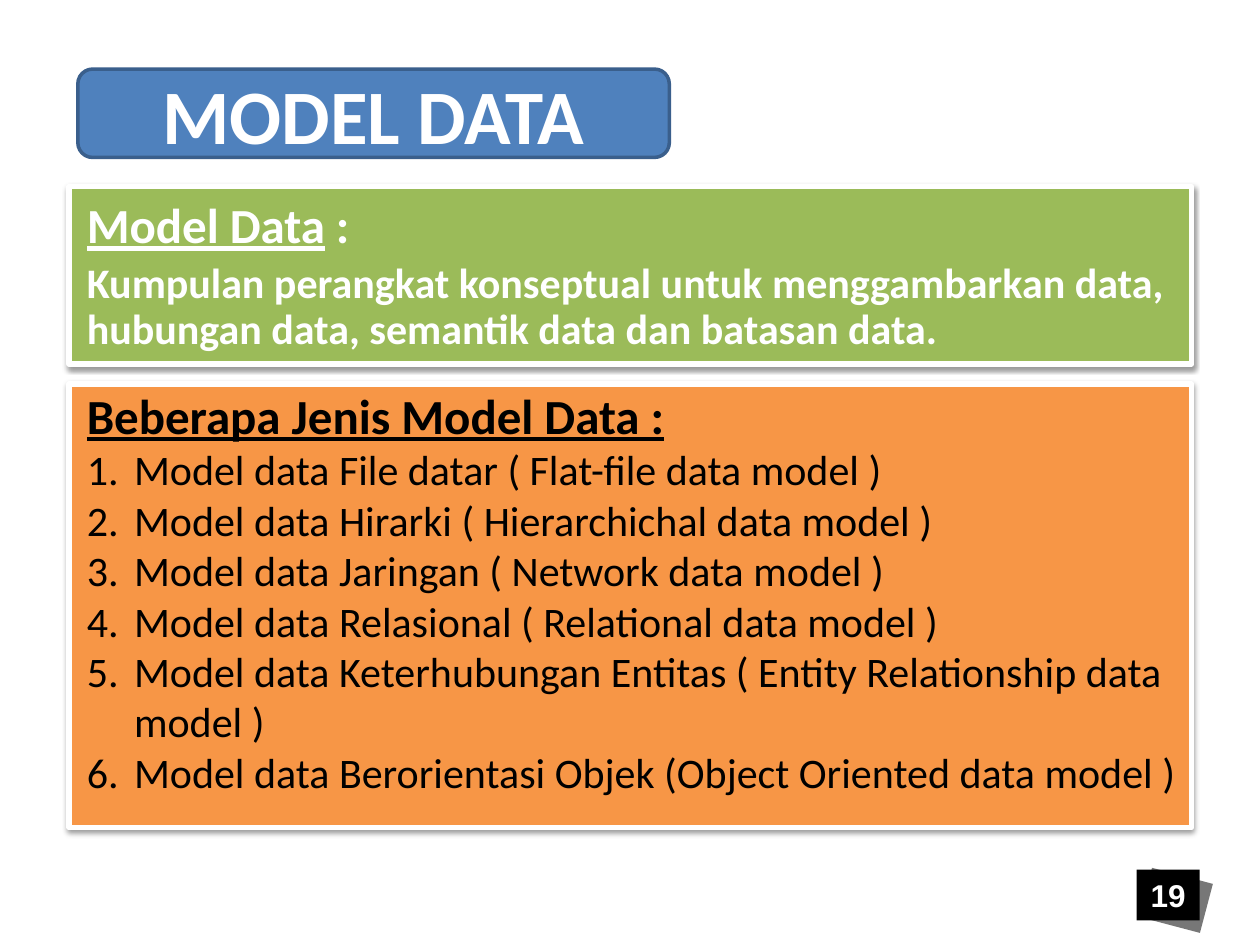
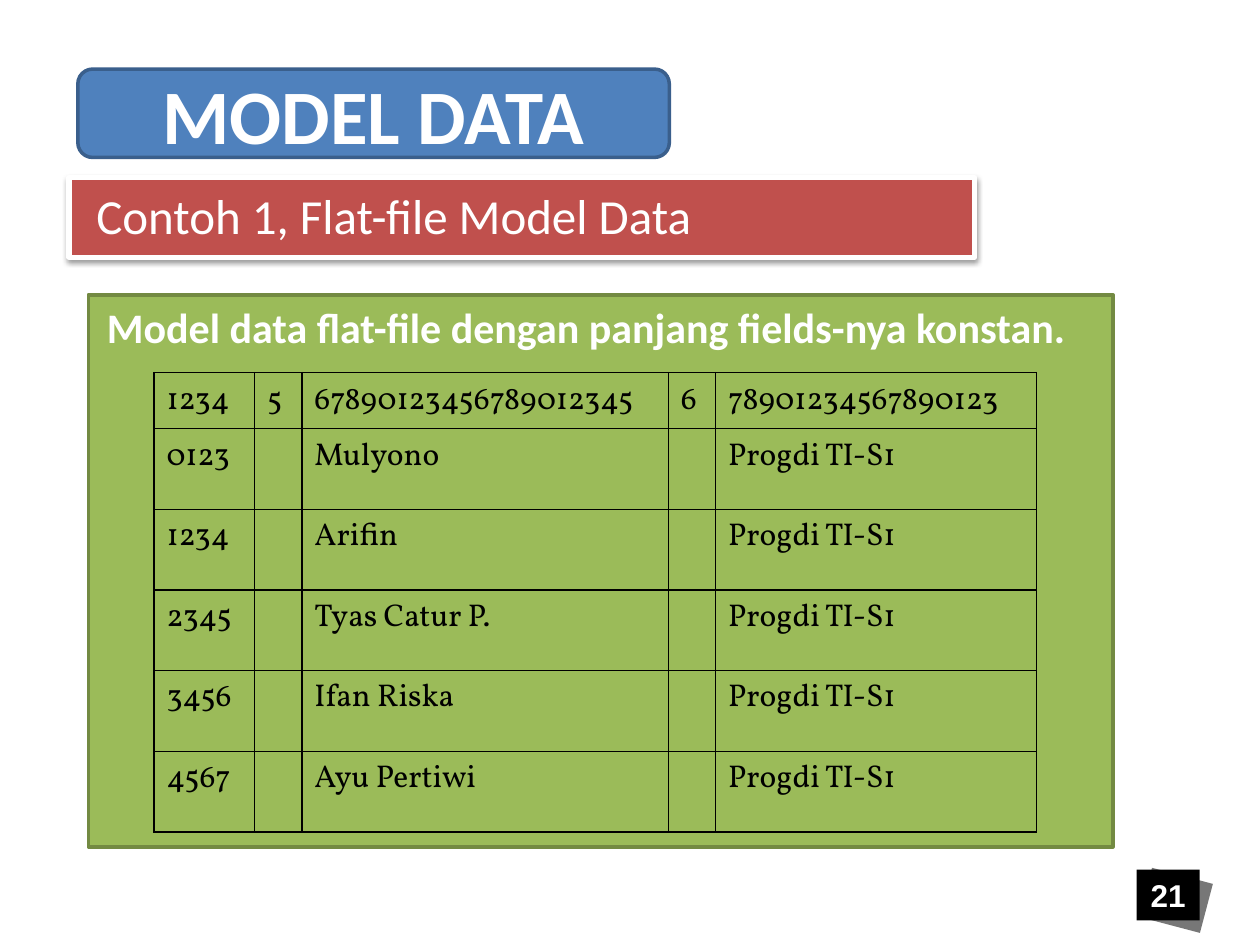
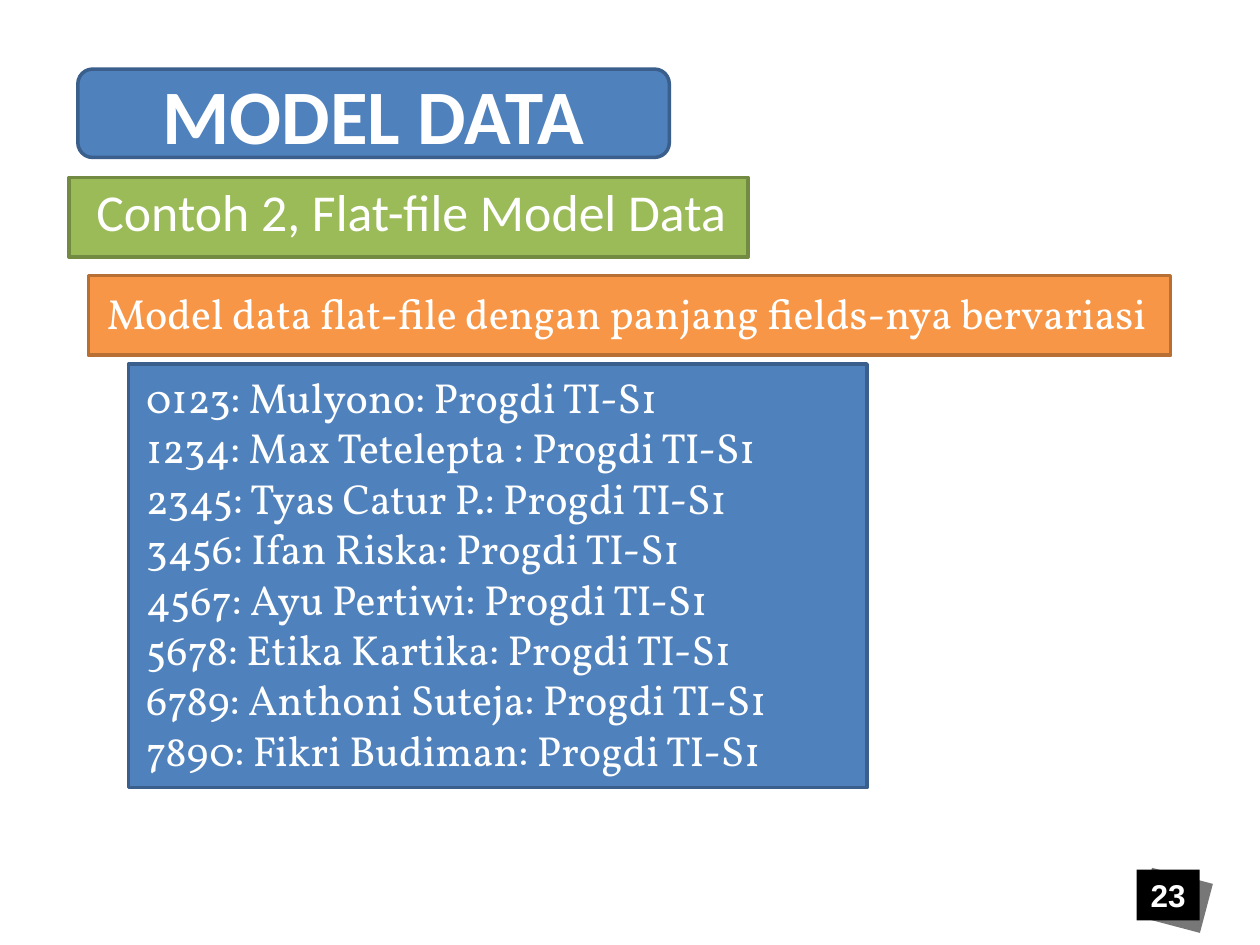
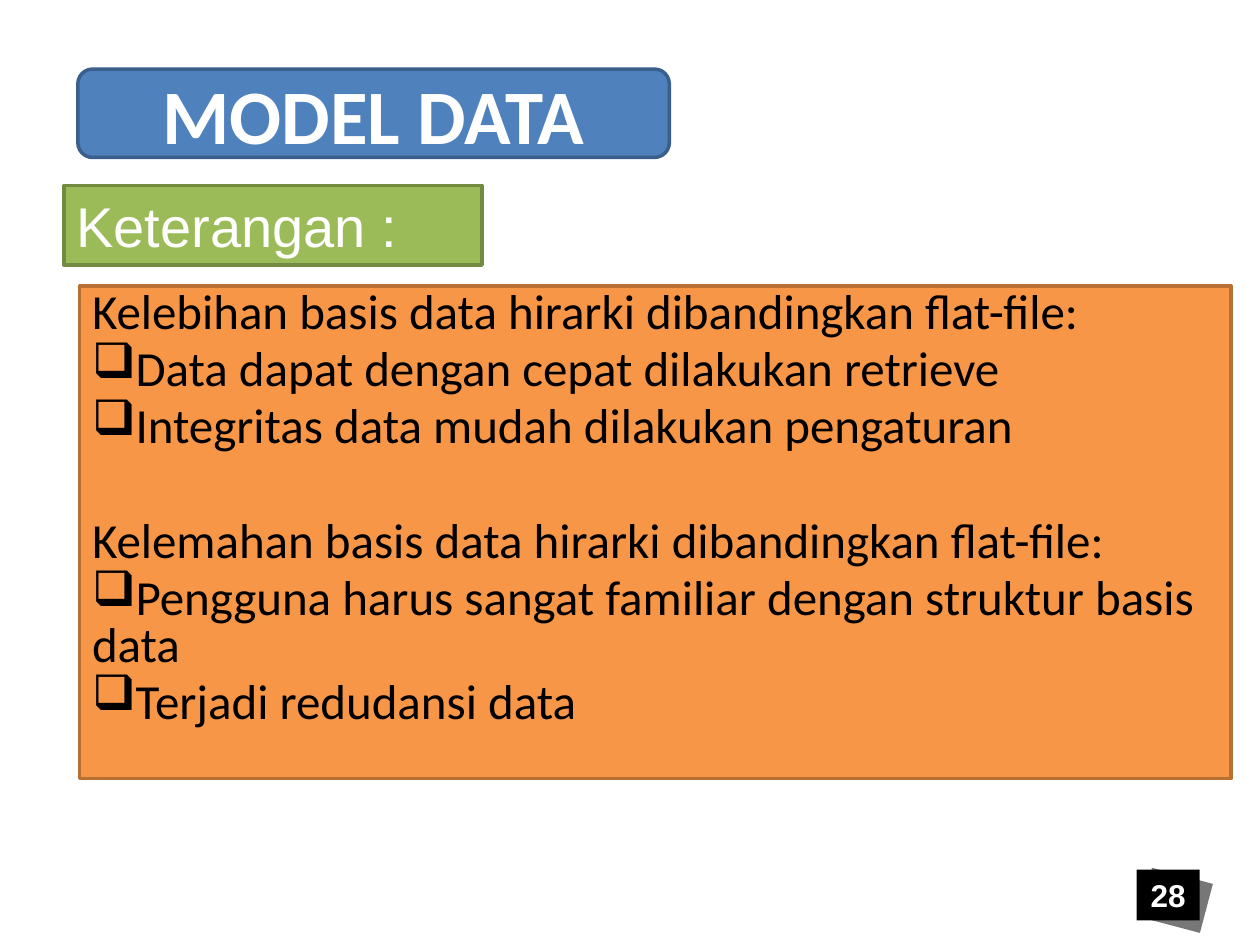
"""Build four slides on data models."""
from lxml import etree
from pptx import Presentation
from pptx.dml.color import RGBColor
from pptx.enum.shapes import MSO_SHAPE
from pptx.enum.text import MSO_ANCHOR, PP_ALIGN
from pptx.oxml.ns import qn
from pptx.util import Pt

RECT, ROUND = MSO_SHAPE.RECTANGLE, MSO_SHAPE.ROUNDED_RECTANGLE
TOP, MID = MSO_ANCHOR.TOP, MSO_ANCHOR.MIDDLE
LEFT, CENTER, JUST = PP_ALIGN.LEFT, PP_ALIGN.CENTER, PP_ALIGN.JUSTIFY

WHITE = RGBColor(0xFF, 0xFF, 0xFF)
BLACK = RGBColor(0x00, 0x00, 0x00)
GRAY = RGBColor(0x77, 0x77, 0x77)
BLUE = RGBColor(0x4F, 0x81, 0xBD)
NAVY = RGBColor(0x3A, 0x5F, 0x8C)
GREEN = RGBColor(0x9B, 0xBB, 0x59)
OLIVE = RGBColor(0x73, 0x8A, 0x42)
ORANGE = RGBColor(0xF7, 0x96, 0x46)
BROWN = RGBColor(0xB7, 0x6F, 0x34)
RED = RGBColor(0xC0, 0x50, 0x4D)

SANS, SERIF, PLAIN = "Calibri", "Vollkorn", "Arial"
TITLE = (44.5, 39.5, 338, 50.5)
BADGE = (649.5, 497, 36, 29)


def add(node, tag, **attrs):
    """Append a drawing element and return it."""
    return etree.SubElement(node, qn("a:" + tag), {k: str(v) for k, v in attrs.items()})


def panel(shapes, box, fill, edge=None, width=2, kind=RECT):
    """Draw a filled shape with an optional edge."""
    shape = shapes.add_shape(kind, *map(Pt, box))
    shape.shadow.inherit = False
    shape.fill.solid()
    shape.fill.fore_color.rgb = fill
    if edge is None:
        shape.line.fill.background()
    else:
        shape.line.color.rgb = edge
        shape.line.width = Pt(width)
    return shape


def card(slide, box, fill):
    """Draw a white-edged panel with a soft shadow."""
    shape = panel(slide.shapes, box, fill, WHITE, 3)
    effects = shape._element.spPr.find(qn("a:effectLst"))
    shade = add(effects, "outerShdw", blurRad=Pt(3.1), dist=Pt(1.6),
                dir=5400000, algn="t", rotWithShape=0)
    add(add(shade, "srgbClr", val=BLACK), "alpha", val=38000)


def bullet(para, mark, hang):
    """Give a paragraph a number or a bullet character."""
    props = para._p.get_or_add_pPr()
    props.set("marL", str(Pt(hang)))
    props.set("indent", str(-Pt(hang)))
    if mark == "1.":
        add(props, "buFont", typeface="+mj-lt")
        add(props, "buAutoNum", type="arabicPeriod")
    else:
        add(props, "buChar", char=mark)


def style(para, size, color, face=SANS, bold=False, align=LEFT):
    """Set the font and alignment of a paragraph."""
    para.alignment = align
    font = para.font
    font.size, font.name, font.bold = Pt(size), face, bold
    font.color.rgb = color


def write(shape, lines, size, color, face=SANS, bold=False, align=LEFT,
          anchor=TOP, space=None):
    """Fill a shape with evenly styled lines and return its paragraphs."""
    frame = shape.text_frame
    frame.word_wrap = True
    frame.vertical_anchor = anchor
    frame.text = "\n".join(lines)
    for para in frame.paragraphs:
        if space:
            para.line_spacing = space
        style(para, size, color, face, bold, align)
    return frame.paragraphs


def label(slide, box, lines, size, color=WHITE, **look):
    """Place a text box."""
    return write(slide.shapes.add_textbox(*map(Pt, box)), lines, size, color, **look)


def title(slide, box):
    """Draw the title band."""
    band = panel(slide.shapes, box, BLUE, NAVY, kind=ROUND)
    write(band, ["MODEL DATA"], 44, WHITE, bold=True, align=CENTER, anchor=MID)


def badge(slide, box, page):
    """Draw the page number on its tilted backing."""
    x, y, w, h = box
    group = slide.shapes.add_group_shape()
    panel(group.shapes, (x + 4.5, y + 3, w, h), GRAY).rotation = 14.8
    front = panel(group.shapes, box, BLACK)
    write(front, [str(page)], 18, WHITE, PLAIN, True, CENTER, MID)
    front.text_frame.word_wrap = False


def define(slide, box):
    """Draw the definition card."""
    x, y, w, h = box
    card(slide, box, GREEN)
    head, body = label(
        slide, (x + 3, y + 5, w + 5, h),
        ["", "Kumpulan perangkat konseptual untuk menggambarkan data, "
         "hubungan data, semantik data dan batasan data."],
        24, bold=True, space=0.9)
    head.font.size = Pt(28)
    term = head.add_run()
    term.text = "Model Data"
    term.font.underline = True
    head.add_run().text = " :"
    body.space_before = Pt(4.8)


def kinds(slide, box):
    """Draw the card that numbers the kinds of model."""
    x, y, w, h = box
    card(slide, box, ORANGE)
    items = [
        "Model data File datar ( Flat-file data model )",
        "Model data Hirarki ( Hierarchichal data model )",
        "Model data Jaringan ( Network data model )",
        "Model data Relasional ( Relational data model )",
        "Model data Keterhubungan Entitas ( Entity Relationship data model )",
        "Model data Berorientasi Objek (Object Oriented data model )",
    ]
    frame = slide.shapes.add_textbox(*map(Pt, (x + 3, y - 3, w - 3, h))).text_frame
    frame.word_wrap = True
    frame.text = "\n".join(["Beberapa Jenis Model Data :"] + items)
    head, *rest = frame.paragraphs
    style(head, 28, BLACK, bold=True)
    head.font.underline = True
    for para in rest:
        bullet(para, "1.", 27)
        style(para, 24, BLACK)


def grid(slide, box, cols, rows):
    """Draw the table of fixed-length records."""
    x, y, w, h = box
    first = 32
    deep = (h - first) / (len(rows) - 1)
    table = slide.shapes.add_table(len(rows), len(cols), *map(Pt, box)).table
    table.first_row = table.horz_banding = False
    for col, wide in zip(table.columns, cols):
        col.width = Pt(wide)
    for i, texts in enumerate(rows):
        table.rows[i].height = Pt(deep if i else first)
        for cell, text in zip(table.rows[i].cells, texts):
            cell.text = text
            style(cell.text_frame.paragraphs[0], 18, BLACK, SERIF, align=JUST)
            props = cell._tc.get_or_add_tcPr()
            for side in ("lnL", "lnR", "lnT", "lnB"):
                line = add(props, side, w=Pt(1))
                add(add(line, "solidFill"), "srgbClr", val=BLACK)
            cell.fill.background()


def fixed(slide, box):
    """Draw the panel on records of constant length."""
    x, y, w, h = box
    panel(slide.shapes, box, GREEN, OLIVE)
    people = [("0123", "Mulyono"), ("1234", "Arifin"), ("2345", "Tyas Catur P."),
              ("3456", "Ifan Riska"), ("4567", "Ayu Pertiwi")]
    rows = [("1234", "5", "67890123456789012345", "6", "78901234567890123")]
    rows += [(code, "", name, "", "Progdi TI-S1") for code, name in people]
    cols = (57.5, 27, 209.5, 27, 183.5)
    grid(slide, (x + 37.5, y + 44.5, sum(cols), 262.5), cols, rows)
    label(slide, (x + 3.5, y, w + 22, 36),
          ["Model data flat-file dengan panjang fields-nya konstan."], 24, bold=True)


def varied(slide, box):
    """Draw the caption bar and list of records of varying length."""
    x, y, w, h = box
    panel(slide.shapes, (x + 23, y + 50.5, 422, h - 50.5), BLUE, NAVY)
    panel(slide.shapes, (x, y, w, 45.5), ORANGE, BROWN)
    label(slide, (x + 3.5, y + 3, w + 11, 36),
          ["Model data flat-file dengan panjang fields-nya bervariasi"], 24, face=SERIF)
    people = ["0123: Mulyono", "1234: Max Tetelepta ", "2345: Tyas Catur P.",
              "3456: Ifan Riska", "4567: Ayu Pertiwi", "5678: Etika Kartika",
              "6789: Anthoni Suteja", "7890: Fikri Budiman"]
    label(slide, (x + 26, y + 50, 477, 240),
          [who + ": Progdi TI-S1" for who in people], 24, face=SERIF, anchor=MID)


def notes(slide, box):
    """Draw the panel of strengths and weaknesses."""
    shape = panel(slide.shapes, box, ORANGE, BROWN)
    heads = ("Kelebihan basis data hirarki dibandingkan flat-file:",
             "Kelemahan basis data hirarki dibandingkan flat-file:")
    lines = [
        heads[0],
        "Data dapat dengan cepat dilakukan retrieve",
        "Integritas data mudah dilakukan pengaturan",
        heads[1],
        "Pengguna harus sangat familiar dengan struktur basis data",
        "Terjadi redudansi data",
    ]
    shape.text_frame.text = "\n".join(lines)
    shape.text_frame.word_wrap = True
    shape.text_frame.vertical_anchor = TOP
    for i, para in enumerate(shape.text_frame.paragraphs):
        para.line_spacing = 0.8
        if i:
            para.space_before = Pt(38.5 if para.text in heads else 5.6)
        if para.text not in heads:
            bullet(para, "❑", 0)
        style(para, 28, BLACK)


def models(slide):
    """Fill the slide on kinds of model."""
    kinds(slide, (39.5, 219.5, 641.5, 253.5))
    define(slide, (39.5, 106.5, 641.5, 101.5))


def first(slide):
    """Fill the slide of the first example."""
    fixed(slide, (50.5, 168.5, 585.5, 315.5))
    card(slide, (39.5, 101.5, 517.5, 45.5), RED)
    label(slide, (48, 106, 504, 37.5), ["Contoh 1, Flat-file Model Data"], 28, space=0.9)


def second(slide):
    """Fill the slide of the second example."""
    varied(slide, (50.5, 157.5, 618.5, 292.5))
    panel(slide.shapes, (39.5, 101.5, 388, 45.5), GREEN, OLIVE)
    label(slide, (48, 106, 504, 37.5), ["Contoh 2, Flat-file Model Data"], 29.6, space=0.8)


def remarks(slide):
    """Fill the slide of remarks."""
    notes(slide, (45.5, 163.5, 658, 281.5))
    tag = panel(slide.shapes, (36.5, 106, 239, 45.5), GREEN, OLIVE)
    write(tag, ["Keterangan :"], 32, WHITE, PLAIN)


def main():
    """Build and save the deck."""
    deck = Presentation()
    deck.slide_width, deck.slide_height = Pt(720), Pt(540)
    for page, fill in ((19, models), (21, first), (23, second), (28, remarks)):
        slide = deck.slides.add_slide(deck.slide_layouts[6])
        fill(slide)
        badge(slide, BADGE, page)
        title(slide, TITLE)
    deck.save("out.pptx")


if __name__ == "__main__":
    main()
